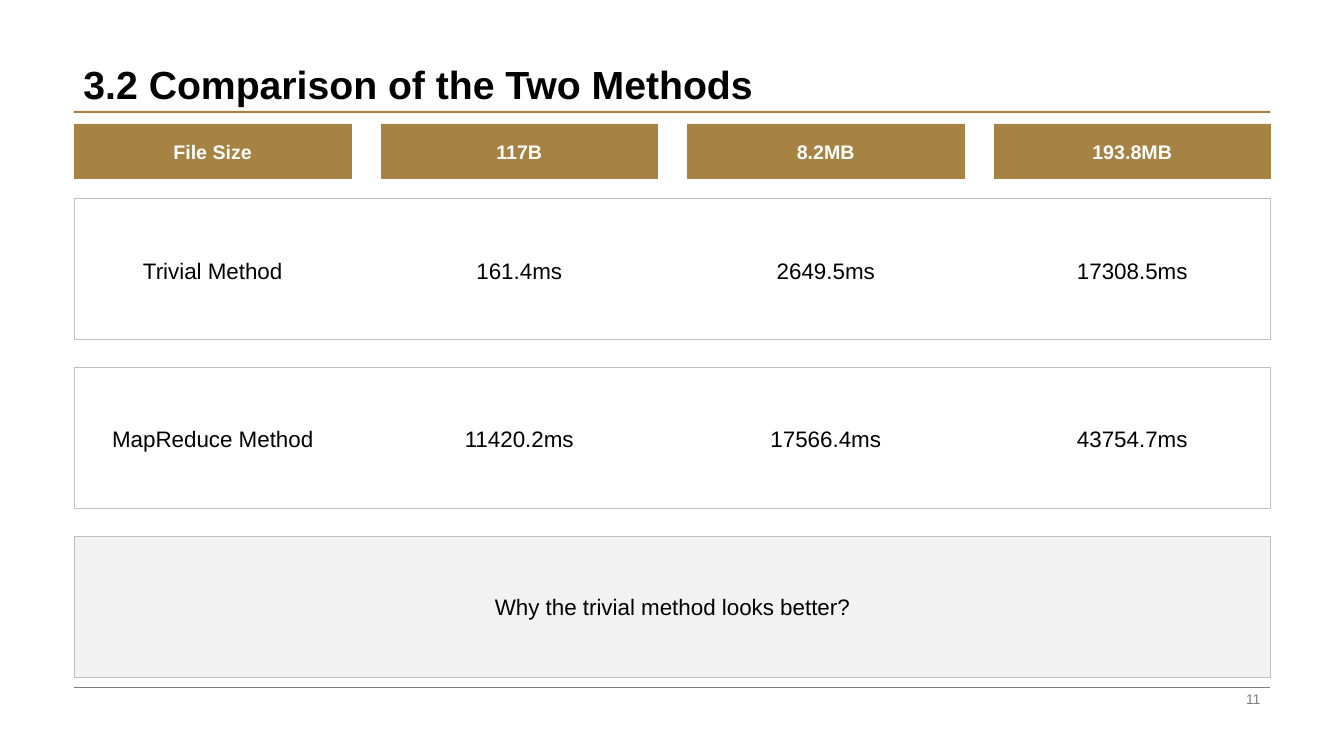
"""Build the slide comparing run times of the two methods by file size."""
from lxml import etree
from pptx import Presentation
from pptx.dml.color import RGBColor
from pptx.enum.shapes import MSO_CONNECTOR, MSO_SHAPE
from pptx.enum.text import MSO_ANCHOR, PP_ALIGN
from pptx.oxml.ns import qn
from pptx.util import Inches, Pt

RECT = MSO_SHAPE.RECTANGLE
STRAIGHT = MSO_CONNECTOR.STRAIGHT
MIDDLE, BOTTOM = MSO_ANCHOR.MIDDLE, MSO_ANCHOR.BOTTOM
LEFT, CENTER, RIGHT = PP_ALIGN.LEFT, PP_ALIGN.CENTER, PP_ALIGN.RIGHT
GOLD, GRAY, SILVER, PALE = "A78343", "808080", "BFBFBF", "F2F2F2"
BLACK, WHITE = "000000", "FFFFFF"

HEADERS = ["File Size", "117B", "8.2MB", "193.8MB"]
ROWS = [
    ["Trivial Method", "161.4ms", "2649.5ms", "17308.5ms"],
    ["MapReduce Method", "11420.2ms", "17566.4ms", "43754.7ms"],
]
QUESTION = "Why the trivial method looks better?"
X, WIDTH = 0.74, 11.86
COL_W, COL_STEP = 2.74, 3.04
ROW_Y, ROW_H, ROW_STEP = 1.97, 1.4, 1.675

prs = Presentation()
prs.slide_width, prs.slide_height = Inches(13.33), Inches(7.5)
s = prs.slides.add_slide(prs.slide_layouts[6])


def add_box(x, y, w, h, fill=None, line=None):
    """Add a flat rectangle with an optional fill and thin outline."""
    sp = s.shapes.add_shape(RECT, Inches(x), Inches(y), Inches(w), Inches(h))
    sp.shadow.inherit = False
    for colour, paint in ((fill, sp.fill), (line, sp.line.fill)):
        if colour:
            paint.solid()
            paint.fore_color.rgb = RGBColor.from_string(colour)
        else:
            paint.background()
    if line:
        sp.line.width = Pt(0.25)
    return sp


def set_text(sp, text, size, colour=BLACK, bold=False, align=CENTER, anchor=MIDDLE):
    """Write one formatted line of text into a shape."""
    tf = sp.text_frame
    tf.text = text
    tf.word_wrap = True
    tf.vertical_anchor = anchor
    p = tf.paragraphs[0]
    p.alignment = align
    font = p.runs[0].font
    font.name, font.size, font.bold = "Arial", Pt(size), bold
    font.color.rgb = RGBColor.from_string(colour)


add_box(0.73, 1.1, 11.87, 0.02, GOLD)
footer_line = s.shapes.add_connector(
    STRAIGHT, Inches(0.73), Inches(6.82), Inches(12.6), Inches(6.82))
footer_line.line.width = Pt(0.5)
footer_line.line.color.rgb = RGBColor.from_string(GRAY)
etree.SubElement(footer_line._element.spPr, qn("a:effectLst"))

title = s.shapes.add_textbox(Inches(0.73), 0, Inches(11.87), Inches(1.12))
set_text(title, "3.2 Comparison of the Two Methods", 28, bold=True, align=LEFT, anchor=BOTTOM)
title.text_frame.paragraphs[0].line_spacing = 0.9
number = s.shapes.add_textbox(Inches(9.42), Inches(6.82), Inches(3.18), Inches(0.23))
set_text(number, "11", 10, GRAY, align=RIGHT)

for col, header in enumerate(HEADERS):
    sp = add_box(X + col * COL_STEP, 1.23, COL_W, 0.54, GOLD, GOLD)
    set_text(sp, header, 14, WHITE, bold=True)

for row, values in enumerate(ROWS):
    y = ROW_Y + row * ROW_STEP
    add_box(X, y, WIDTH, ROW_H, line=SILVER)
    for col, value in enumerate(values):
        cell = s.shapes.add_textbox(
            Inches(X + col * COL_STEP), Inches(y + 0.12), Inches(COL_W), Inches(1.18))
        set_text(cell, value, 16)

question = add_box(X, ROW_Y + len(ROWS) * ROW_STEP, WIDTH, ROW_H, PALE, SILVER)
set_text(question, QUESTION, 16)

prs.save("out.pptx")
